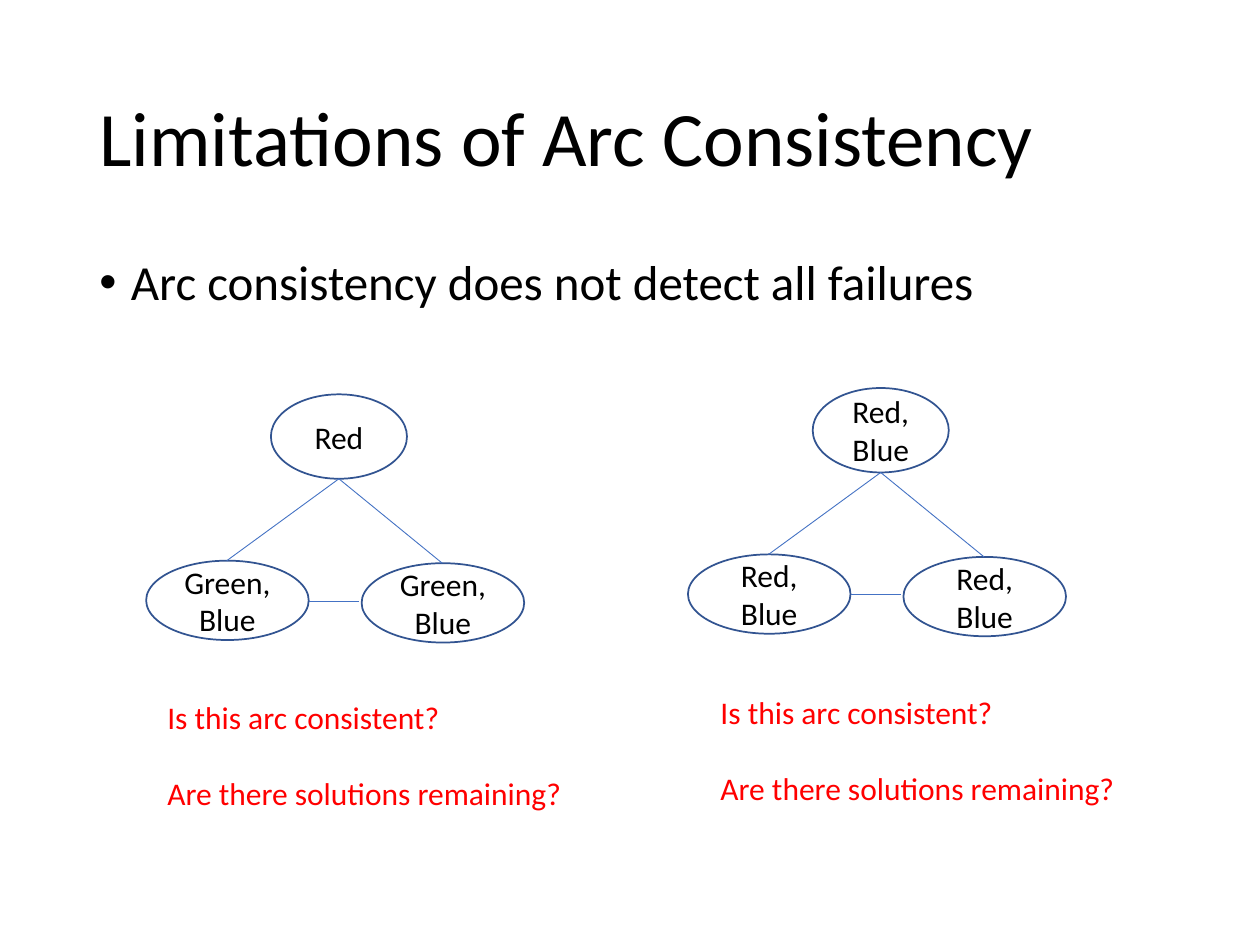
from lxml.etree import SubElement
from pptx import Presentation
from pptx.dml.color import RGBColor
from pptx.enum.shapes import MSO_CONNECTOR as Connector, MSO_SHAPE as Shape
from pptx.enum.text import MSO_ANCHOR as Anchor, PP_ALIGN as Align
from pptx.oxml.ns import qn
from pptx.util import Inches, Pt

COLORS = {"text": "000000", "question": "FF0000", "outline": "325491", "edge": "4472C4"}


class SlideBuilder:
    font = "Calibri"

    def __init__(self, slide):
        self.slide = slide

    def color(self, name):
        return RGBColor.from_string(COLORS[name])

    def style(self, paragraph, size, color="text", align=Align.LEFT):
        paragraph.alignment = align
        for run in paragraph.runs:
            run.font.name = self.font
            run.font.size = Pt(size)
            run.font.color.rgb = self.color(color)

    def title(self, text, left, top, width, height):
        heading = self.slide.shapes.title
        heading.left, heading.top = Inches(left), Inches(top)
        heading.width, heading.height = Inches(width), Inches(height)
        frame = heading.text_frame
        frame.text = text
        frame.vertical_anchor = Anchor.MIDDLE
        frame.paragraphs[0].line_spacing = 0.9
        self.style(frame.paragraphs[0], 44)

    def text_frame(self, left, top, width, height):
        box = self.slide.shapes.add_textbox(
            Inches(left), Inches(top), Inches(width), Inches(height))
        box.text_frame.word_wrap = True
        return box.text_frame

    def bullet(self, text, left, top, width, height):
        paragraph = self.text_frame(left, top, width, height).paragraphs[0]
        paragraph.text = text
        paragraph.line_spacing = 0.9
        paragraph.space_before = Pt(10)
        self.style(paragraph, 28)
        properties = paragraph._p.get_or_add_pPr()
        properties.set("marL", str(Inches(0.25)))
        properties.set("indent", str(Inches(-0.25)))
        SubElement(properties, qn("a:buFont"), typeface="Arial")
        SubElement(properties, qn("a:buChar"), char="•")

    def questions(self, lines, left, top):
        frame = self.text_frame(left, top, 3.54, 1.01)
        frame.text = "\n".join(lines)
        for paragraph in frame.paragraphs:
            self.style(paragraph, 18, "question")
        for paragraph in frame.paragraphs[1:]:
            paragraph.space_before = Pt(22)

    def node(self, domain, left, top, width, height):
        ellipse = self.slide.shapes.add_shape(
            Shape.OVAL, Inches(left), Inches(top), Inches(width), Inches(height))
        ellipse.shadow.inherit = False
        ellipse.fill.background()
        ellipse.line.color.rgb = self.color("outline")
        ellipse.line.width = Pt(1)
        frame = ellipse.text_frame
        frame.word_wrap = True
        frame.vertical_anchor = Anchor.MIDDLE
        frame.text = domain
        self.style(frame.paragraphs[0], 18, align=Align.CENTER)

    def edge(self, start, end):
        line = self.slide.shapes.add_connector(
            Connector.STRAIGHT, *(Inches(value) for value in (*start, *end)))
        line.line.color.rgb = self.color("edge")
        line.line.width = Pt(0.5)
        SubElement(line._element.spPr, qn("a:effectLst"))

    def constraint_graph(self, domains, left, top):
        places = [(0.99, 0, 1.08, 0.67), (0, 1.32, 1.29, 0.63), (1.71, 1.34, 1.29, 0.63)]
        for domain, (x, y, width, height) in zip(domains, places):
            self.node(domain, left + x, top + y, width, height)
        edges = [((1.53, 0.67), (0.64, 1.32)),
                 ((2.35, 1.34), (1.53, 0.67)),
                 ((1.69, 1.64), (1.29, 1.64))]
        for (x1, y1), (x2, y2) in edges:
            self.edge((left + x1, top + y1), (left + x2, top + y2))


def main():
    deck = Presentation()
    deck.slide_width, deck.slide_height = Inches(10), Inches(7.5)
    builder = SlideBuilder(deck.slides.add_slide(deck.slide_layouts[5]))

    builder.title("Limitations of Arc Consistency", 0.69, 0.4, 8.62, 1.45)
    builder.bullet("Arc consistency does not detect all failures", 0.69, 2, 8.62, 4.76)

    builder.constraint_graph(["Red", "Green, Blue", "Green, Blue"], 1.16, 3.13)
    builder.constraint_graph(["Red, Blue"] * 3, 5.46, 3.08)

    questions = ["Is this arc consistent?", "Are there solutions remaining?"]
    for left, top in [(1.23, 5.49), (5.62, 5.45)]:
        builder.questions(questions, left, top)

    deck.save("out.pptx")


if __name__ == "__main__":
    main()
